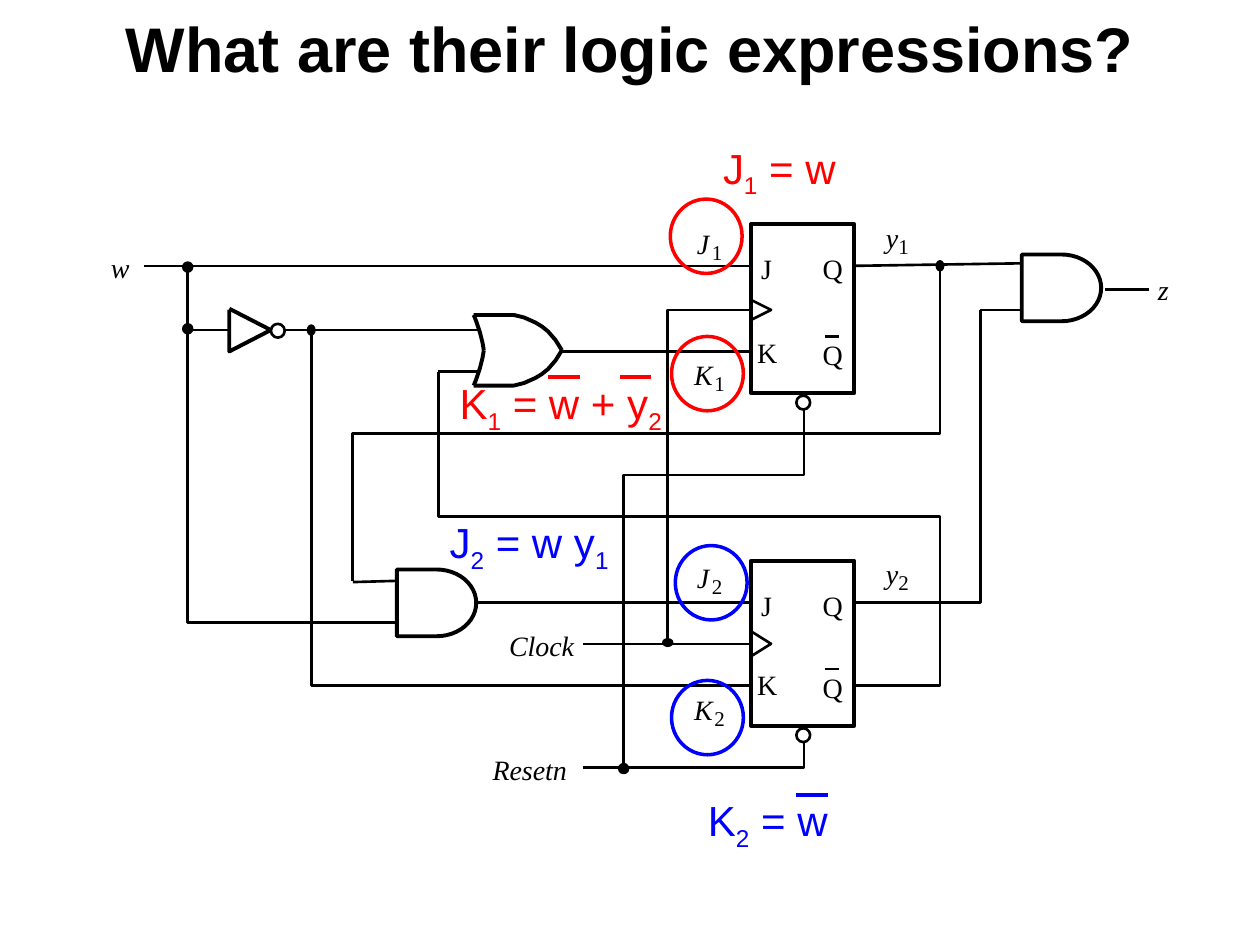
from lxml import etree
from pptx import Presentation
from pptx.dml.color import RGBColor
from pptx.enum import shapes, text
from pptx.oxml import ns
from pptx.util import Inches, Pt

COLORS = {"black": "000000", "white": "FFFFFF", "red": "FF0000", "blue": "0000FF"}
SERIF, SANS = "Times New Roman", "Arial"
THIN, THICK, RING = 1.5, 2.25, 2
GLYPH_WIDTH = {"J": 0.21, "K": 0.25, "Q": 0.27, "y": 0.21, "w": 0.26, "z": 0.2,
               "Clock": 0.65, "Resetn": 0.8}
SUBSCRIPT_SHIFT = {"J": 0.12, "K": 0.16, "y": 0.1}
FLIP_FLOP_LEFT, FLIP_FLOP_WIDTH = 5.96, 0.82

WIRES = [
    # w to J1, the inverter and the AND gate
    [(1.14, 2.11), (5.96, 2.11)],
    [(1.49, 2.11), (1.49, 4.94), (2.8, 4.94)],
    [(2.8, 4.94), (3.15, 4.94)],
    [(1.49, 2.62), (1.82, 2.62)],
    # inverted w to the OR gate and K2
    [(2.26, 2.62), (3.79, 2.62)],
    [(5.96, 5.44), (2.47, 5.44), (2.47, 2.62)],
    # gate outputs
    [(4.46, 2.79), (4.63, 2.79)],
    [(4.63, 2.79), (5.96, 2.79)],
    [(3.79, 4.78), (5.96, 4.78)],
    # y1 to both AND gates
    [(6.78, 2.11), (8.11, 2.09)],
    [(2.8, 4.61), (2.8, 3.44), (7.46, 3.44), (7.46, 2.11)],
    [(2.8, 4.62), (3.15, 4.61)],
    # y2 to the output gate, and its complement to the OR gate
    [(6.78, 4.78), (7.78, 4.78), (7.78, 2.46)],
    [(7.78, 2.46), (8.11, 2.46)],
    [(3.48, 2.95), (3.48, 4.1), (7.46, 4.1), (7.46, 5.44), (6.78, 5.44)],
    [(3.48, 2.95), (3.81, 2.95)],
    # output z
    [(8.77, 2.3), (8.95, 2.3)],
    [(8.95, 2.3), (9.12, 2.3)],
    # clock and reset
    [(4.63, 5.11), (5.96, 5.11)],
    [(5.3, 5.11), (5.3, 2.46), (5.96, 2.46)],
    [(4.63, 6.09), (6.38, 6.09), (6.38, 5.76)],
    [(4.95, 6.09), (4.95, 3.77), (6.38, 3.77), (6.38, 3.12)],
]
# centre x, centre y, width, height
JUNCTIONS = [(1.49, 2.12, 0.07, 0.07), (1.49, 2.61, 0.07, 0.07), (2.47, 2.62, 0.05, 0.07),
             (7.46, 2.11, 0.05, 0.07), (5.3, 5.1, 0.07, 0.05), (4.95, 6.1, 0.07, 0.07)]
OR_AXIS = 2.78
# x and distance from the axis, for one half of the OR gate
OR_FRONT = [(3.76, 0.28), (4.08, 0.28), (4.16, 0.26), (4.25, 0.22), (4.3, 0.19),
            (4.35, 0.15), (4.41, 0.08), (4.46, 0)]
OR_BACK = [(3.76, 0.28), (3.78, 0.23), (3.81, 0.14), (3.83, 0.06), (3.84, 0)]
SIGNALS = [("w", 0.88, 1.99), ("z", 9.19, 2.16), ("Clock", 4.04, 4.99), ("Resetn", 3.91, 5.97)]
VARIABLES = [("J", "1", 5.53, 1.8), ("K", "1", 5.51, 2.84), ("y", "1", 7.03, 1.75),
             ("J", "2", 5.53, 4.45), ("K", "2", 5.51, 5.5), ("y", "2", 7.03, 4.42)]
RINGS = [(5.32, 1.58, "red"), (5.33, 2.67, "red"), (5.36, 4.33, "blue"), (5.33, 5.4, "blue")]
# box, colour, runs ("_" marks a subscript), and the starts and height of the overbars
EXPRESSIONS = [
    ((5.64, 1.08, 1.13, 0.5), "red", ["J", "_1", " = w"], [], 0),
    ((3.55, 2.95, 1.86, 0.51), "red", ["K", "_1", " = w + y", "_2"], [4.35, 4.92], 2.99),
    ((3.47, 4.05, 1.51, 0.51), "blue", ["J", "_2", " = w y", "_1"], [], 0),
    ((5.52, 6.26, 1.18, 0.51), "blue", ["K", "_2", " = w"], [6.32], 6.31),
]


def rgb(color):
    return RGBColor.from_string(COLORS[color])


def style(shape, fill, line="black", weight=THIN):
    shape.shadow.inherit = False
    if fill:
        shape.fill.solid()
        shape.fill.fore_color.rgb = rgb(fill)
    else:
        shape.fill.background()
    shape.line.color.rgb = rgb(line)
    shape.line.width = Pt(weight)


def add_preset(slide, kind, box, fill="white", line="black", weight=THIN):
    style(slide.shapes.add_shape(kind, *map(Inches, box)), fill, line, weight)


def add_line(slide, start, end, color="black", weight=THIN):
    connector = slide.shapes.add_connector(
        shapes.MSO_CONNECTOR.STRAIGHT, *map(Inches, (*start, *end)))
    connector.line.color.rgb = rgb(color)
    connector.line.width = Pt(weight)
    etree.SubElement(connector._element.spPr, ns.qn("a:effectLst"))


def add_path(slide, points, weight=THIN):
    """Draw a straight connector for two points, an open outline for more."""
    if len(points) == 2:
        add_line(slide, *points, weight=weight)
        return
    corners = [(Inches(x), Inches(y)) for x, y in points]
    builder = slide.shapes.build_freeform(*corners[0])
    builder.add_line_segments(corners[1:], close=False)
    style(builder.convert_to_shape(), None, weight=weight)


def add_text(slide, box, runs, size, font=SERIF, color="black", italic=False, inset=0):
    """Add one unwrapped line; a run that starts with "_" is a subscript."""
    shape = slide.shapes.add_textbox(*map(Inches, box))
    frame = shape.text_frame
    frame.word_wrap = False
    frame.auto_size = text.MSO_AUTO_SIZE.SHAPE_TO_FIT_TEXT
    frame.margin_left = frame.margin_right = Inches(inset)
    frame.margin_top = frame.margin_bottom = Inches(inset / 2)
    paragraph = frame.paragraphs[0]
    paragraph.font.size, paragraph.font.name = Pt(size), font
    paragraph.font.italic = italic
    paragraph.font.color.rgb = rgb(color)
    for content in runs:
        run = paragraph.add_run()
        run.text = content.removeprefix("_")
        if content.startswith("_"):
            run._r.get_or_add_rPr().set("baseline", "-25000")


def add_label(slide, name, left, top, italic=True):
    add_text(slide, (left, top, GLYPH_WIDTH[name], 0.3), [name], 16, italic=italic)


def add_variable(slide, name, index, left, top):
    add_label(slide, name, left, top)
    add_text(slide, (left + SUBSCRIPT_SHIFT[name], top + 0.1, 0.18, 0.24), [index], 12)


def add_flip_flop(slide, top, height, clock, half_clock):
    left, bottom = FLIP_FLOP_LEFT, top + height
    add_preset(slide, shapes.MSO_SHAPE.RECTANGLE, (left, top, FLIP_FLOP_WIDTH, height),
               weight=THICK)
    for name, x, y in [("J", 0.08, top + 0.22), ("Q", 0.57, top + 0.22),
                       ("K", 0.05, bottom - 0.46), ("Q", 0.57, bottom - 0.44)]:
        add_label(slide, name, left + x, y, italic=False)
    add_line(slide, (left + 0.59, bottom - 0.45), (left + 0.7, bottom - 0.45))
    add_path(slide, [(left, clock + half_clock), (left + 0.16, clock), (left, clock - half_clock)])
    add_preset(slide, shapes.MSO_SHAPE.OVAL, (left + 0.36, bottom + 0.02, 0.11, 0.11))


def add_gates(slide):
    for left, top in [(3.15, 4.52), (8.11, 2.02)]:
        add_preset(slide, shapes.MSO_SHAPE.FLOWCHART_DELAY, (left, top, 0.63, 0.53), weight=THICK)
    for profile in (OR_FRONT, OR_BACK):
        for side in (-1, 1):
            add_path(slide, [(x, OR_AXIS + side * rise) for x, rise in profile], THICK)
    add_path(slide, [(2.15, 2.62), (1.82, 2.79), (1.82, 2.46)], THICK)
    add_line(slide, (1.82, 2.45), (2.15, 2.62), weight=THICK)
    add_preset(slide, shapes.MSO_SHAPE.OVAL, (2.15, 2.57, 0.11, 0.11))


def add_title(slide, title):
    frame = slide.shapes.add_textbox(0, 0, Inches(10), Inches(0.75)).text_frame
    frame.word_wrap = True
    frame.vertical_anchor = text.MSO_ANCHOR.MIDDLE
    paragraph = frame.paragraphs[0]
    paragraph.text = title
    paragraph.alignment = text.PP_ALIGN.CENTER
    paragraph.font.size, paragraph.font.name = Pt(36), SANS
    paragraph.font.bold = True
    paragraph.font.color.rgb = rgb("black")


def main():
    presentation = Presentation()
    presentation.slide_width, presentation.slide_height = Inches(10), Inches(7.5)
    slide = presentation.slides.add_slide(presentation.slide_layouts[6])
    add_title(slide, "What are their logic expressions?")
    for points in WIRES:
        add_path(slide, points)
    add_flip_flop(slide, top=1.78, height=1.34, clock=2.46, half_clock=0.08)
    add_flip_flop(slide, top=4.45, height=1.31, clock=5.11, half_clock=0.1)
    add_gates(slide)
    for x, y, width, height in JUNCTIONS:
        add_preset(slide, shapes.MSO_SHAPE.OVAL,
                   (x - width / 2, y - height / 2, width, height), "black")
    for signal in SIGNALS:
        add_label(slide, *signal)
    for variable in VARIABLES:
        add_variable(slide, *variable)
    for left, top, color in RINGS:
        add_preset(slide, shapes.MSO_SHAPE.OVAL, (left, top, 0.57, 0.59), None, color, RING)
    for box, color, runs, bars, bar_top in EXPRESSIONS:
        add_text(slide, box, runs, 24, SANS, color, inset=0.1)
        for start in bars:
            add_line(slide, (start, bar_top), (start + 0.25, bar_top), color, THICK)
    presentation.save("out.pptx")


if __name__ == "__main__":
    main()
